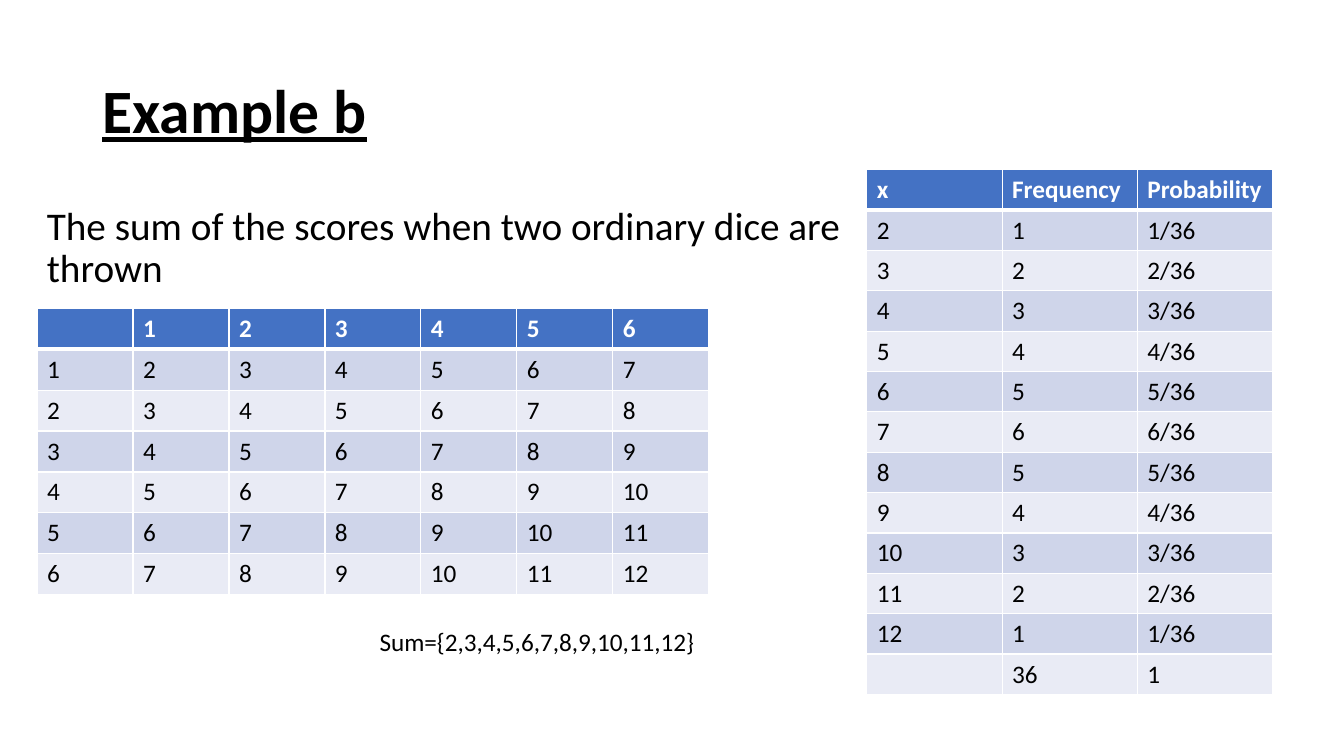
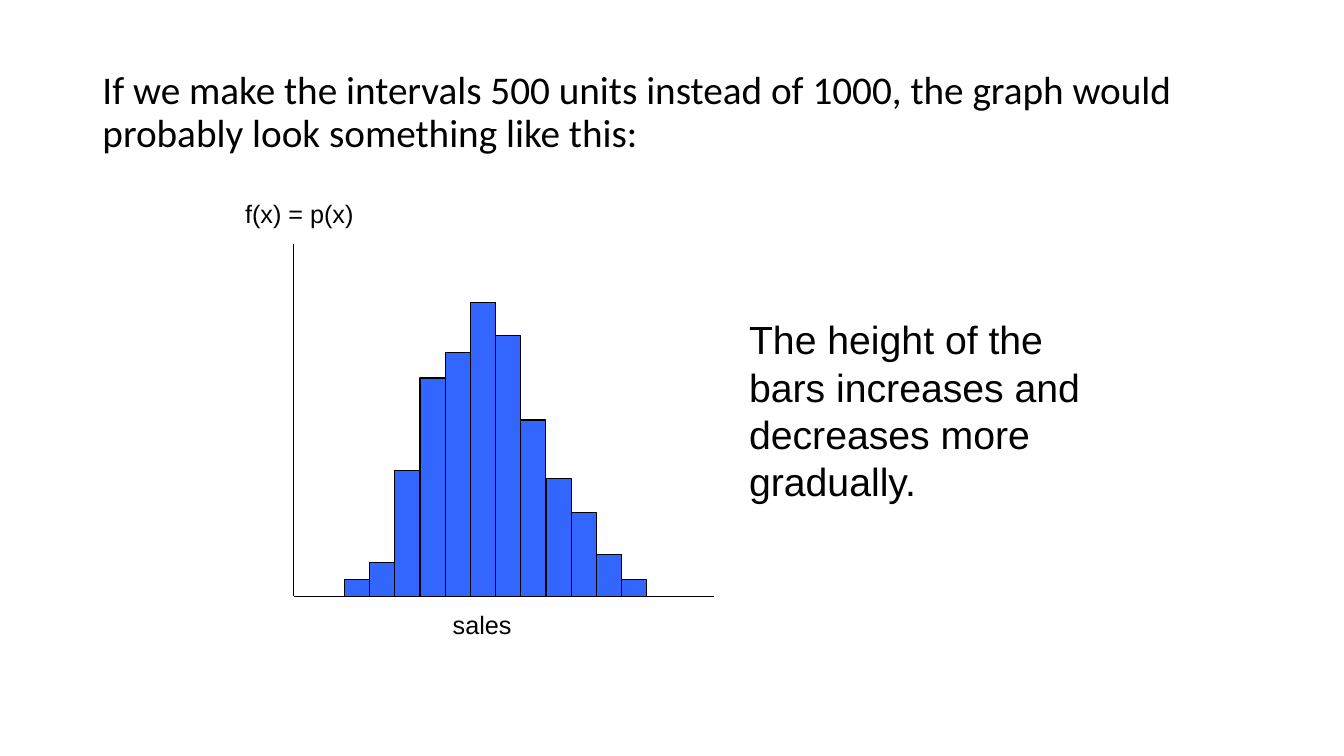
from dataclasses import dataclass
from typing import NamedTuple

from lxml.etree import SubElement
from pptx import Presentation
from pptx.dml.color import RGBColor as Rgb
from pptx.enum.shapes import MSO_CONNECTOR as Connector, MSO_SHAPE as Preset
from pptx.enum.text import MSO_ANCHOR as Anchor, PP_ALIGN as Align
from pptx.oxml.ns import qn
from pptx.slide import Slide
from pptx.text.text import TextFrame
from pptx.util import Emu, Inches, Pt

COLUMNS, ROWS = 160, 90
SLIDE_WIDTH, SLIDE_HEIGHT = Inches(13.33), Inches(7.5)
TITLE_ONLY = 5


@dataclass(frozen=True)
class Theme:
    ink: str = "000000"
    paper: str = "FFFFFF"
    header: str = "4472C4"
    bands: tuple[str, str] = ("CFD5EA", "E9EBF5")
    bar: str = "3366FF"
    main_font: str = "Calibri"
    graph_font: str = "Arial"
    heading: int = 44
    statement: int = 28
    label: int = 18
    outline: float = 0.75
    rule: float = 1
    header_rule: float = 3
    tight: float = 0.9


class Area(NamedTuple):
    column: float
    row: float
    columns: float
    rows: float

    def lengths(self) -> tuple[Emu, Emu, Emu, Emu]:
        return across(self.column), down(self.row), across(self.columns), down(self.rows)


class Axis(NamedTuple):
    start: tuple[float, float]
    end: tuple[float, float]


THEME = Theme()
TITLE_AREA = Area(11, 4.8, 138, 17.4)

DICE = range(1, 7)
SUM_GRID = [["", *DICE]] + [[first, *(first + second for second in DICE)] for first in DICE]
OUTCOMES = len(DICE) ** 2
FREQUENCIES = [(total, 6 - abs(total - 7)) for total in range(2, 13)]
DISTRIBUTION = [
    ["x", "Frequency", "Probability"],
    *([total, count, f"{count}/{OUTCOMES}"] for total, count in FREQUENCIES),
    ["", OUTCOMES, 1],
]

BASELINE = 71
BAR_WIDTH = 3
FIRST_BAR = 41
BAR_HEIGHTS = [2, 4, 15, 26, 29, 35, 31, 21, 14, 10, 5, 2]
AXES = [Axis((35, 29), (35, BASELINE)), Axis((35, BASELINE), (85, BASELINE))]


def across(columns: float) -> Emu:
    return Emu(round(SLIDE_WIDTH * columns / COLUMNS))


def down(rows: float) -> Emu:
    return Emu(round(SLIDE_HEIGHT * rows / ROWS))


def write(frame: TextFrame, text: str, *, size: int = THEME.label, font: str = THEME.main_font,
          color: str = THEME.ink, bold: bool = False, underline: bool = False,
          spacing: float = 1) -> None:
    paragraph = frame.paragraphs[0]
    paragraph.alignment = Align.LEFT
    paragraph.line_spacing = spacing
    run = paragraph.add_run()
    run.text = text
    run.font.size = Pt(size)
    run.font.name = font
    run.font.bold = bold
    run.font.underline = underline
    run.font.color.rgb = Rgb.from_string(color)


def add_titled_slide(deck, title: str, **text_format) -> Slide:
    slide = deck.slides.add_slide(deck.slide_layouts[TITLE_ONLY])
    heading = slide.shapes.title
    heading.left, heading.top, heading.width, heading.height = TITLE_AREA.lengths()
    heading.text_frame.vertical_anchor = Anchor.MIDDLE
    write(heading.text_frame, title, spacing=THEME.tight, **text_format)
    return slide


def add_text(slide: Slide, area: Area, text: str, *, indent: float = 0, **text_format) -> None:
    frame = slide.shapes.add_textbox(*area.lengths()).text_frame
    frame.word_wrap = True
    frame.margin_left += across(indent)
    write(frame, text, **text_format)


def add_border(cell, side: str, width: float) -> None:
    line = SubElement(cell._tc.get_or_add_tcPr(), qn(f"a:ln{side}"), w=str(Pt(width)))
    fill = SubElement(line, qn("a:solidFill"))
    SubElement(fill, qn("a:srgbClr"), val=THEME.paper)


def add_grid(slide: Slide, area: Area, content: list[list]) -> None:
    table = slide.shapes.add_table(len(content), len(content[0]), *area.lengths()).table
    for column in table.columns:
        column.width = across(area.columns / len(content[0]))
    for index, values in enumerate(content):
        is_header = index == 0
        table.rows[index].height = down(area.rows / len(content))
        widths = {
            "L": THEME.rule,
            "R": THEME.rule,
            "T": THEME.header_rule if index == 1 else THEME.rule,
            "B": THEME.header_rule if is_header else THEME.rule,
        }
        background = THEME.header if is_header else THEME.bands[(index - 1) % 2]
        for position, value in enumerate(values):
            cell = table.cell(index, position)
            for side, width in widths.items():
                add_border(cell, side, width)
            cell.fill.solid()
            cell.fill.fore_color.rgb = Rgb.from_string(background)
            if value != "":
                write(cell.text_frame, str(value), bold=is_header,
                      color=THEME.paper if is_header else THEME.ink)


def add_axis(slide: Slide, axis: Axis) -> None:
    (left, top), (right, bottom) = axis
    line = slide.shapes.add_connector(
        Connector.STRAIGHT, across(left), down(top), across(right), down(bottom))
    line.line.color.rgb = Rgb.from_string(THEME.ink)
    line.line.width = Pt(THEME.outline)
    SubElement(line._element.spPr, qn("a:effectLst"))


def add_bar(slide: Slide, area: Area) -> None:
    bar = slide.shapes.add_shape(Preset.RECTANGLE, *area.lengths())
    bar.shadow.inherit = False
    bar.fill.solid()
    bar.fill.fore_color.rgb = Rgb.from_string(THEME.bar)
    bar.line.color.rgb = Rgb.from_string(THEME.ink)
    bar.line.width = Pt(THEME.outline)


def build_dice_slide(deck) -> None:
    slide = add_titled_slide(deck, "Example b", size=THEME.heading, bold=True, underline=True)
    add_text(slide, Area(4.4, 24, 111, 61.2),
             "The sum of the scores when two ordinary dice are thrown",
             size=THEME.statement, spacing=THEME.tight)
    add_grid(slide, Area(4.4, 36.7, 80, 34.1), SUM_GRID)
    totals = ",".join(str(total) for total, _ in FREQUENCIES)
    add_text(slide, Area(44, 74, 66, 4.8), f"Sum={{{totals}}}")
    add_grid(slide, Area(103.2, 20.2, 48.3, 62.4), DISTRIBUTION)


def build_histogram_slide(deck) -> None:
    slide = add_titled_slide(
        deck,
        "If we make the intervals 500 units instead of 1000, the graph would "
        "probably look something like this:",
        size=THEME.statement)
    for axis in AXES:
        add_axis(slide, axis)
    add_text(slide, Area(32, 72, 52, 4.8), "sales", indent=20.7, font=THEME.graph_font)
    add_text(slide, Area(28, 23, 16, 4.8), "f(x) = p(x)", font=THEME.graph_font)
    for index, height in enumerate(BAR_HEIGHTS):
        add_bar(slide, Area(FIRST_BAR + index * BAR_WIDTH, BASELINE - height, BAR_WIDTH, height))
    add_text(slide, Area(88, 37, 42, 23.6),
             "The height of the bars increases and decreases more gradually.",
             size=THEME.statement, font=THEME.graph_font)


def main() -> None:
    deck = Presentation()
    deck.slide_width, deck.slide_height = SLIDE_WIDTH, SLIDE_HEIGHT
    build_dice_slide(deck)
    build_histogram_slide(deck)
    deck.save("out.pptx")


if __name__ == "__main__":
    main()
